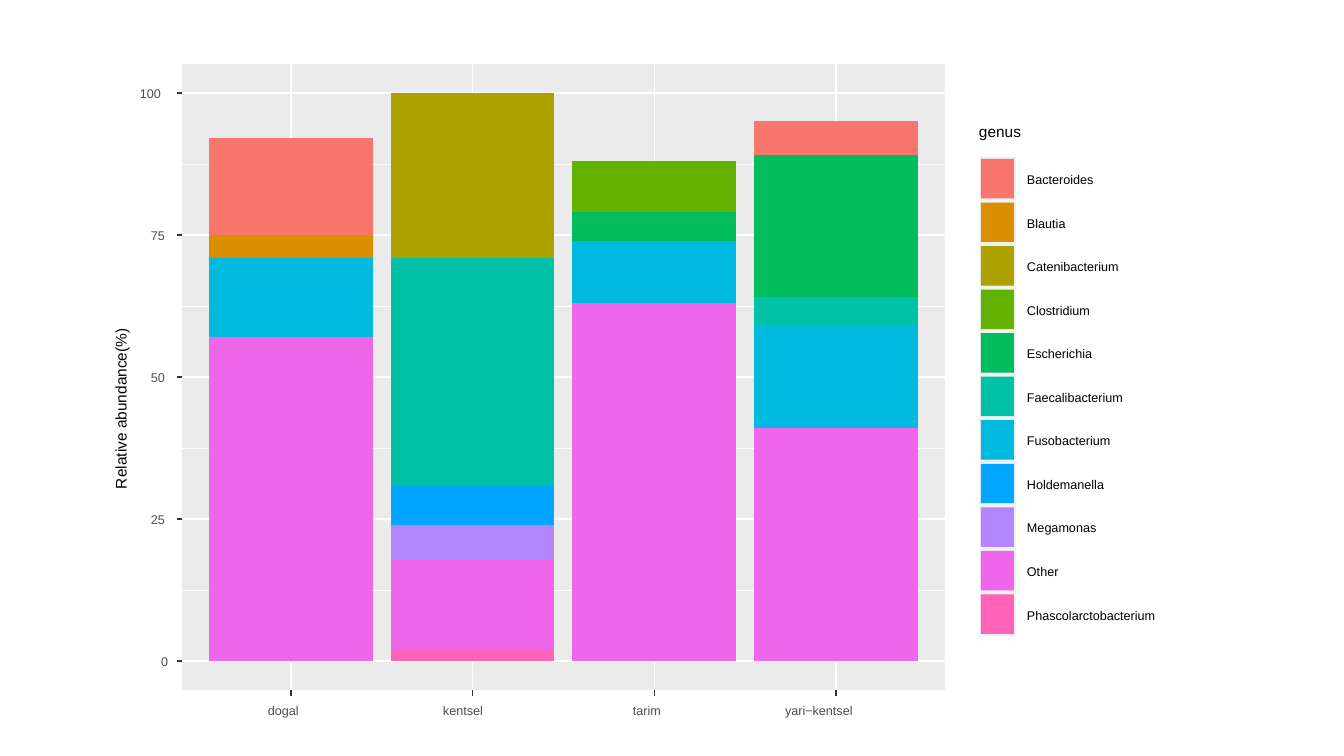
from lxml import etree
from pptx import Presentation, util as u
from pptx.chart.data import CategoryChartData
from pptx.dml.color import RGBColor
from pptx.enum import chart as charts, shapes
from pptx.oxml import parse_xml
from pptx.oxml.ns import nsdecls, qn

# Habitat: left edge of its label
HABITATS = {"dogal": 268, "kentsel": 443, "tarim": 633, "yari\u2212kentsel": 785}
# Genus: colour, then abundance in percent for each habitat
GENERA = {
    "Bacteroides": ("F8766C", (17, None, None, 6)),
    "Blautia": ("DB8E00", (4, None, None, None)),
    "Catenibacterium": ("ADA100", (None, 29, None, None)),
    "Clostridium": ("63B100", (None, None, 9, None)),
    "Escherichia": ("00BC5C", (None, None, 5, 25)),
    "Faecalibacterium": ("00C1A7", (None, 40, None, 5)),
    "Fusobacterium": ("00B9DE", (14, None, 11, 18)),
    "Holdemanella": ("00A6FF", (None, 7, None, None)),
    "Megamonas": ("B385FF", (None, 6, None, None)),
    "Other": ("EE67EB", (57, 16, 63, 41)),
    "Phascolarctobacterium": ("FF62B6", (None, 2, None, None)),
}
# Percent: left edge of its label
TICKS = {0: 161, 25: 151, 50: 151, 75: 151, 100: 140}
MINOR_PERCENTS = (12.5, 37.5, 62.5, 87.5)
COLOURS = {"panel": "EBEBEB", "grid": "FFFFFF", "tick": "333333",
           "axis": "4D4D4D", "title": "000000", "key": "F1F1F1"}

EMU_PER_PX = 914400 / 100.8
PANEL_LEFT, PANEL_TOP, PANEL_RIGHT, PANEL_BOTTOM = 182, 64, 945, 690
BARS_LEFT, BARS_TOP, BARS_WIDTH, BARS_HEIGHT = 200, 93, 727, 568
TICK_X, TICK_Y = 5, 6
THIN, THICK = 0.53, 1.07
KEY_LEFT, KEY_TOP, KEY_WIDTH, KEYS_HEIGHT = 980, 157, 36, 479
NO_FILL = f'<c:spPr {nsdecls("c", "a")}><a:noFill/><a:ln><a:noFill/></a:ln></c:spPr>'


def px(length):
    """Turn pixels into EMU."""
    return u.Emu(round(length * EMU_PER_PX))


def add_box(left, top, width, height, colour):
    """Add a plain filled rectangle."""
    box = slide.shapes.add_shape(shapes.MSO_SHAPE.RECTANGLE,
                                 px(left), px(top), px(width), px(height))
    box.shadow.inherit = False
    box.fill.solid()
    box.fill.fore_color.rgb = RGBColor.from_string(colour)
    box.line.fill.background()


def add_line(x1, y1, x2, y2, colour, weight):
    """Add a straight line without shadow."""
    line = slide.shapes.add_connector(shapes.MSO_CONNECTOR.STRAIGHT,
                                      px(x1), px(y1), px(x2), px(y2))
    line.line.color.rgb = RGBColor.from_string(colour)
    line.line.width = u.Pt(weight)
    etree.SubElement(line._element.spPr, qn("a:effectLst"))


def add_label(words, left, top, width, height=28, size=9, colour="000000", turn=0):
    """Add one line of text in a box without margins."""
    label = slide.shapes.add_textbox(px(left), px(top), px(width), px(height))
    label.rotation = turn
    frame = label.text_frame
    frame.word_wrap = True
    frame.margin_left = frame.margin_right = frame.margin_top = frame.margin_bottom = 0
    line = frame.paragraphs[0]
    line.line_spacing, line.space_after = 1.07, u.Pt(8)
    run = line.add_run()
    run.text = words
    run.font.name, run.font.size = "Arial", u.Pt(size)
    run.font.color.rgb = RGBColor.from_string(colour)


def percent_y(percent):
    """Give the height on the slide of a percentage."""
    return BARS_TOP + BARS_HEIGHT * (1 - percent / 100)


def add_bars():
    """Add the stacked columns, filling their frame, with a clear background."""
    data = CategoryChartData(number_format="0")
    data.categories = list(HABITATS)
    for genus, (_, abundances) in reversed(GENERA.items()):
        data.add_series(genus, abundances)
    chart = slide.shapes.add_chart(
        charts.XL_CHART_TYPE.COLUMN_STACKED, px(BARS_LEFT), px(BARS_TOP),
        px(BARS_WIDTH), px(BARS_HEIGHT), data).chart
    chart.has_legend = chart.has_title = False
    chart.font.name, chart.font.size = "Arial", u.Pt(9)
    chart.font.color.rgb = RGBColor.from_string(COLOURS["axis"])
    percents = chart.value_axis
    percents.minimum_scale, percents.maximum_scale, percents.major_unit = 0, 100, 25
    percents.has_major_gridlines = False
    percents.visible = chart.category_axis.visible = False

    columns = chart.plots[0]
    columns.gap_width, columns.overlap, columns.vary_by_categories = 11, 100, False
    for series in columns.series:
        series.format.fill.solid()
        series.format.fill.fore_color.rgb = RGBColor.from_string(GENERA[series.name][0])
        series.format.line.fill.background()

    area = chart._chartSpace.chart.plotArea
    for layout in area.findall(qn("c:layout")):
        area.remove(layout)
    settings = (("layoutTarget", "inner"), ("xMode", "edge"), ("yMode", "edge"),
                ("x", 0), ("y", 0), ("w", 1), ("h", 1))
    inner = "".join(f'<c:{name} val="{value}"/>' for name, value in settings)
    area.insert(0, parse_xml(f'<c:layout {nsdecls("c")}><c:manualLayout>{inner}'
                             '</c:manualLayout></c:layout>'))
    area.append(parse_xml(NO_FILL))
    chart._chartSpace.chart.addnext(parse_xml(NO_FILL))


deck = Presentation()
deck.slide_width, deck.slide_height = px(1344), px(756)
slide = deck.slides.add_slide(deck.slide_layouts[6])

add_box(PANEL_LEFT, PANEL_TOP, PANEL_RIGHT - PANEL_LEFT, PANEL_BOTTOM - PANEL_TOP,
        COLOURS["panel"])
for weight, percents in ((THIN, MINOR_PERCENTS), (THICK, TICKS)):
    for percent in percents:
        y = percent_y(percent)
        add_line(PANEL_LEFT, y, PANEL_RIGHT, y, COLOURS["grid"], weight)
habitat_step = BARS_WIDTH / len(HABITATS)
centres = [BARS_LEFT + habitat_step * (i + 0.5) for i in range(len(HABITATS))]
for x in centres:
    add_line(x, PANEL_BOTTOM, x, PANEL_TOP, COLOURS["grid"], THICK)

add_bars()

for percent, left in TICKS.items():
    y = percent_y(percent)
    add_line(PANEL_LEFT - TICK_X, y, PANEL_LEFT, y, COLOURS["tick"], THICK)
    add_label(str(percent), left, y - 8, 14 * len(str(percent)), colour=COLOURS["axis"])
for x, (habitat, left) in zip(centres, HABITATS.items()):
    add_line(x, PANEL_BOTTOM + TICK_Y, x, PANEL_BOTTOM, COLOURS["tick"], THICK)
    add_label(habitat, left, 702, 12 * len(habitat), colour=COLOURS["axis"])
add_label("Relative abundance(%)", -67, 284, 382, size=11, colour=COLOURS["title"], turn=270)

add_label("genus", KEY_LEFT - 1, 121, 84, 34, size=11, colour=COLOURS["title"])
key_step = KEYS_HEIGHT / len(GENERA)
for i, (genus, (colour, _)) in enumerate(GENERA.items()):
    top = KEY_TOP + i * key_step
    add_box(KEY_LEFT, top, KEY_WIDTH, key_step, COLOURS["key"])
    add_box(KEY_LEFT + 1, top + 2, KEY_WIDTH - 3, key_step - 4, colour)
    add_label(genus, 1027, top + 14, 12 * len(genus), colour=COLOURS["title"])

deck.save("out.pptx")
